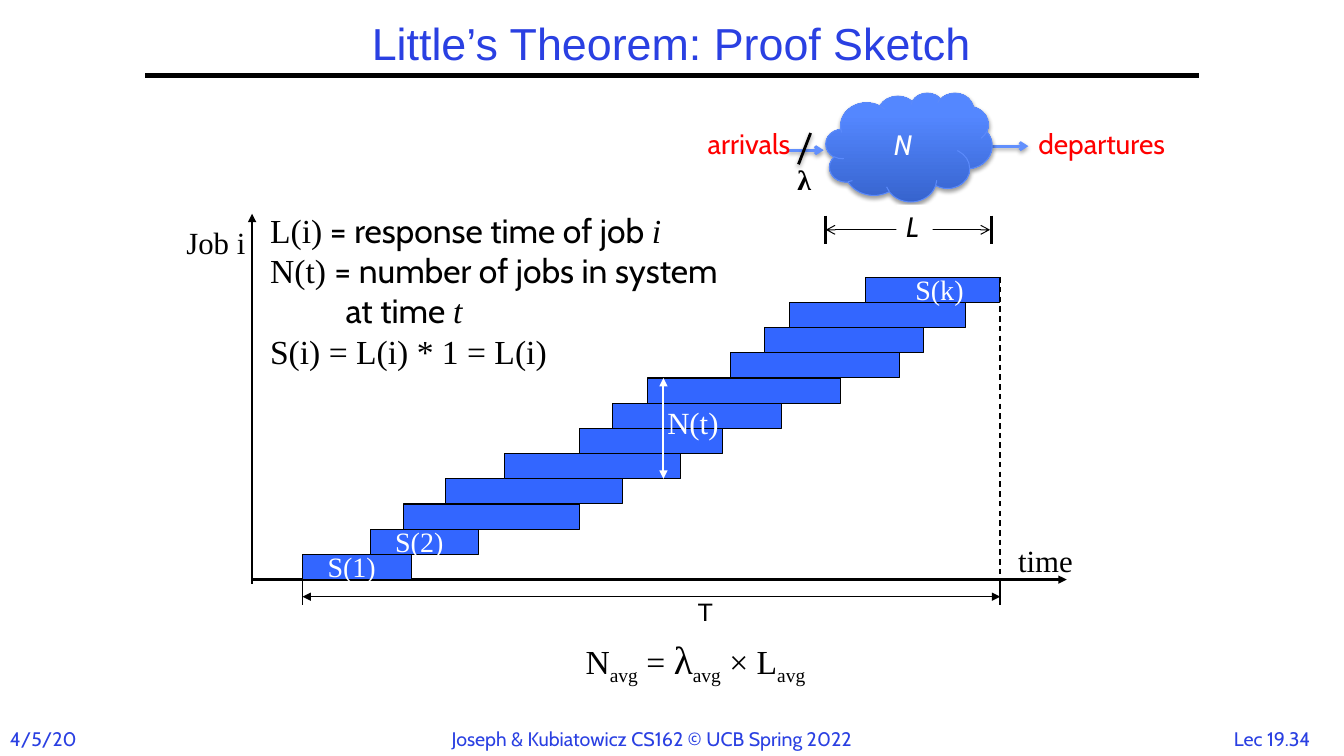
from lxml.etree import SubElement
from pptx import Presentation
from pptx.dml.color import RGBColor
from pptx.enum.dml import MSO_LINE
from pptx.enum.shapes import MSO_CONNECTOR, MSO_SHAPE
from pptx.enum.text import MSO_ANCHOR, MSO_AUTO_SIZE, PP_ALIGN
from pptx.oxml.ns import qn
from pptx.util import Inches, Pt

BLACK = RGBColor(0x00, 0x00, 0x00)
WHITE = RGBColor(0xFF, 0xFF, 0xFF)
RED = RGBColor(0xFF, 0x00, 0x00)
TITLE_BLUE = RGBColor(0x2A, 0x40, 0xE2)
BAR_BLUE = RGBColor(0x33, 0x66, 0xFF)
FLOW_BLUE = RGBColor(0x61, 0x8F, 0xFD)
CLOUD_LINE = RGBColor(0x5B, 0x8A, 0xFB)
CLOUD_STOPS = [(0, "3764CE"), (80, "5487FF"), (100, "5688FF")]

SERIF, SANS = "Times New Roman", "Cabin"
FOOTER = dict(name=SANS, size=Pt(14), color=TITLE_BLUE)
FLOW = dict(name=SANS, size=Pt(20), color=RED)
AXIS = dict(name=SERIF, size=Pt(22), color=BLACK)
SPAN = dict(AXIS, color=WHITE)
JOB = dict(SPAN, size=Pt(20))
MATH = dict(name=SERIF, size=Pt(24), color=BLACK)
MATH_ITALIC = dict(MATH, italic=True)
PROSE = dict(MATH, name=SANS)
SUBSCRIPT = dict(MATH, baseline=-25)
CLOUD_TEXT = dict(name=SANS, size=Pt(20), color=WHITE, italic=True)

TITLE = "Little’s Theorem: Proof Sketch"
TITLE_FORMAT = dict(name="Arial", size=Pt(32), color=TITLE_BLUE)

BASELINE, BAR_HEIGHT = 5.75, 0.25
START, END = 3, 9.92
JOB_BARS = [(START, 1.08), (3.67, 1.08), (4, 1.75), (4.42, 1.75), (5, 1.75), (5.75, 1.42),
            (6.08, 1.67), (6.42, 1.92), (7.25, 1.67), (7.58, 1.58), (7.83, 1.75), (8.58, 1.33)]
JOB_LABELS = [(0, "S(1)", 0.15), (1, "S(2)", 0.15), (11, "S(k)", 0.4)]

CHART_LINES = [
    ((2.5, 5.79), (2.5, 2.12), dict(width=2, tail="triangle")),
    ((2.5, BASELINE), (10.58, BASELINE), dict(width=2, tail="triangle")),
    ((START, BASELINE), (START, 6), {}),
    ((END, BASELINE), (END, 6), {}),
    ((END, 2.75), (END, BASELINE), dict(dash=MSO_LINE.DASH)),
    ((START, 5.92), (END, 5.92), dict(head="triangle", tail="triangle")),
]
FLOW_ARROW = dict(color=FLOW_BLUE, width=2, tail="arrow", shadow=True)
QUEUE_LINES = [
    ((7.82, 1.49), (8.17, 1.49), FLOW_ARROW),
    ((9.84, 1.45), (10.2, 1.45), FLOW_ARROW),
    ((8.04, 1.32), (7.92, 1.63), dict(width=2, shadow=True)),
    ((8.19, 2.28), (9.82, 2.28), dict(width=0.75, head="arrow", tail="arrow")),
    ((8.19, 2.14), (8.19, 2.42), dict(width=2)),
    ((9.83, 2.14), (9.83, 2.42), dict(width=2)),
]
LABELS = [
    ((12.14, 7.16, 1.08, 0.33), "Lec 19.34", FOOTER),
    ((0, 7.16, 1, 0.34), "4/5/20", FOOTER),
    ((4.38, 7.16, 4.55, 0.34), "Joseph & Kubiatowicz CS162 © UCB Spring 2022", FOOTER),
    ((10, 5.33, 0.75, 0.47), "time", AXIS),
    ((1.75, 2.17, 0.79, 0.47), "Job i", AXIS),
    ((6.82, 5.87, 0.35, 0.4), "T", dict(name="Arial", size=Pt(18), color=BLACK)),
    ((6.92, 1.21, 1.11, 0.44), "arrivals", FLOW),
    ((10.2, 1.21, 1.54, 0.44), "departures", FLOW),
    ((7.81, 1.56, 0.34, 0.44), "λ", dict(JOB, color=BLACK, bold=True)),
    ((6.52, 3.96, 0.71, 0.47), "N(t)", SPAN),
]
DEFINITIONS = [
    [("L(i)", MATH), (" = response time of job ", PROSE), ("i", MATH_ITALIC)],
    [("N(t) ", MATH), ("= number of jobs in system", PROSE)],
    [("at time ", PROSE), ("t", MATH_ITALIC)],
    [("S(i) = L(i) * 1 = L(i)", MATH)],
]
CONTINUED_LINE, CONTINUED_INDENT = 2, 0.75
FORMULA = [[("N", MATH), ("avg", SUBSCRIPT), (" = ", MATH), ("λ", dict(MATH, size=Pt(28))),
            ("avg", SUBSCRIPT), (" × L", MATH), ("avg", SUBSCRIPT)]]


def add_run(paragraph, text, formats):
    """Add a run and apply its format values."""
    run = paragraph.add_run()
    run.text = text
    for key, value in formats.items():
        if key == "color":
            run.font.color.rgb = value
        elif key == "baseline":
            run._r.get_or_add_rPr().set("baseline", str(value * 1000))
        else:
            setattr(run.font, key, value)


def fill_text(shape, lines, wrap=False):
    """Write lines of formatted runs into a shape."""
    frame = shape.text_frame
    frame.word_wrap = wrap
    for index, runs in enumerate(lines):
        paragraph = frame.add_paragraph() if index else frame.paragraphs[0]
        paragraph.alignment = PP_ALIGN.LEFT
        for text, formats in runs:
            add_run(paragraph, text, formats)
    return frame


def add_text(slide, box, lines, wrap=False):
    """Add a text box that fits its text."""
    frame = fill_text(slide.shapes.add_textbox(*map(Inches, box)), lines, wrap)
    frame.auto_size = MSO_AUTO_SIZE.SHAPE_TO_FIT_TEXT
    return frame


def set_effect(shape, shadow):
    """Give a shape a soft drop shadow or no effect at all."""
    properties = shape._element.spPr
    for old in properties.findall(qn("a:effectLst")):
        properties.remove(old)
    effects = SubElement(properties, qn("a:effectLst"))
    if shadow:
        outer = SubElement(effects, qn("a:outerShdw"), blurRad=str(Pt(3.1)),
                           dist=str(Pt(1.7)), dir="5400000", rotWithShape="0")
        color = SubElement(outer, qn("a:srgbClr"), val="000000")
        SubElement(color, qn("a:alpha"), val="37000")


def add_line(slide, start, end, color=BLACK, width=1, dash=None, head=None, tail=None,
             shadow=False):
    """Add a straight line with optional arrowheads."""
    line = slide.shapes.add_connector(MSO_CONNECTOR.STRAIGHT, *map(Inches, start + end))
    line.line.color.rgb = color
    line.line.width = Pt(width)
    if dash:
        line.line.dash_style = dash
    outline = line._element.spPr.find(qn("a:ln"))
    for tag, arrow in (("a:headEnd", head), ("a:tailEnd", tail)):
        if arrow:
            SubElement(outline, qn(tag), type=arrow)
    set_effect(line, shadow)


def add_box(slide, kind, box, color, outline=None):
    """Add a filled preset shape."""
    shape = slide.shapes.add_shape(kind, *map(Inches, box))
    shape.fill.solid()
    shape.fill.fore_color.rgb = color
    if outline is None:
        shape.line.fill.background()
    else:
        shape.line.color.rgb = outline
        shape.line.width = Pt(0.75)
    shape.shadow.inherit = False
    return shape


def add_cloud(slide):
    """Add the shaded cloud that stands for the system."""
    cloud = add_box(slide, MSO_SHAPE.CLOUD, (8.19, 0.92, 1.65, 1.08), FLOW_BLUE, CLOUD_LINE)
    cloud.fill.gradient()
    cloud.fill.gradient_angle = 90
    stops = cloud._element.spPr.find(qn("a:gradFill")).find(qn("a:gsLst"))
    for stop in list(stops):
        stops.remove(stop)
    for position, color in CLOUD_STOPS:
        stop = SubElement(stops, qn("a:gs"), pos=str(position * 1000))
        SubElement(stop, qn("a:srgbClr"), val=color)
    set_effect(cloud, True)
    frame = fill_text(cloud, [[("N", CLOUD_TEXT)]], True)
    frame.vertical_anchor = MSO_ANCHOR.MIDDLE
    frame.paragraphs[0].alignment = PP_ALIGN.CENTER


def main():
    """Build the slide and save it."""
    presentation = Presentation()
    presentation.slide_width, presentation.slide_height = Inches(13.33), Inches(7.5)
    slide = presentation.slides.add_slide(presentation.slide_layouts[5])

    title = slide.shapes.title
    title.left, title.top, title.width, title.height = map(Inches, (1.44, 0.17, 10.44, 0.58))
    frame = fill_text(title, [[(TITLE, TITLE_FORMAT)]], True)
    frame.auto_size = MSO_AUTO_SIZE.NONE
    frame.vertical_anchor = MSO_ANCHOR.MIDDLE
    frame.paragraphs[0].alignment = PP_ALIGN.CENTER
    frame.paragraphs[0].line_spacing = 0.9
    add_line(slide, (1.44, 0.75), (11.89, 0.75), width=3)

    for start, end, formats in CHART_LINES + QUEUE_LINES:
        add_line(slide, start, end, **formats)
    add_cloud(slide)
    length = add_box(slide, MSO_SHAPE.RECTANGLE, (8.89, 2.03, 0.36, 0.44), WHITE)
    fill_text(length, [[("L", dict(CLOUD_TEXT, color=BLACK))]])

    tops = [BASELINE - BAR_HEIGHT * (row + 1) for row in range(len(JOB_BARS))]
    for (left, width), top in zip(JOB_BARS, tops):
        add_box(slide, MSO_SHAPE.RECTANGLE, (left, top, width, BAR_HEIGHT), BAR_BLUE, BLACK)
    add_line(slide, (6.58, 3.75), (6.58, 4.75), WHITE, 1.5, head="triangle", tail="triangle")

    for box, text, formats in LABELS:
        add_text(slide, box, [[(text, formats)]])
    for row, text, offset in JOB_LABELS:
        box = (JOB_BARS[row][0] + offset, tops[row] - 0.1, 0.68, 0.43)
        add_text(slide, box, [[(text, JOB)]])
    definitions = add_text(slide, (2.58, 2.03, 4.92, 1.72), DEFINITIONS, True)
    continued = definitions.paragraphs[CONTINUED_LINE]._p.get_or_add_pPr()
    continued.set("marL", str(Inches(CONTINUED_INDENT)))
    add_text(slide, (5.71, 6.25, 2.68, 0.57), FORMULA)
    presentation.save("out.pptx")


if __name__ == "__main__":
    main()
